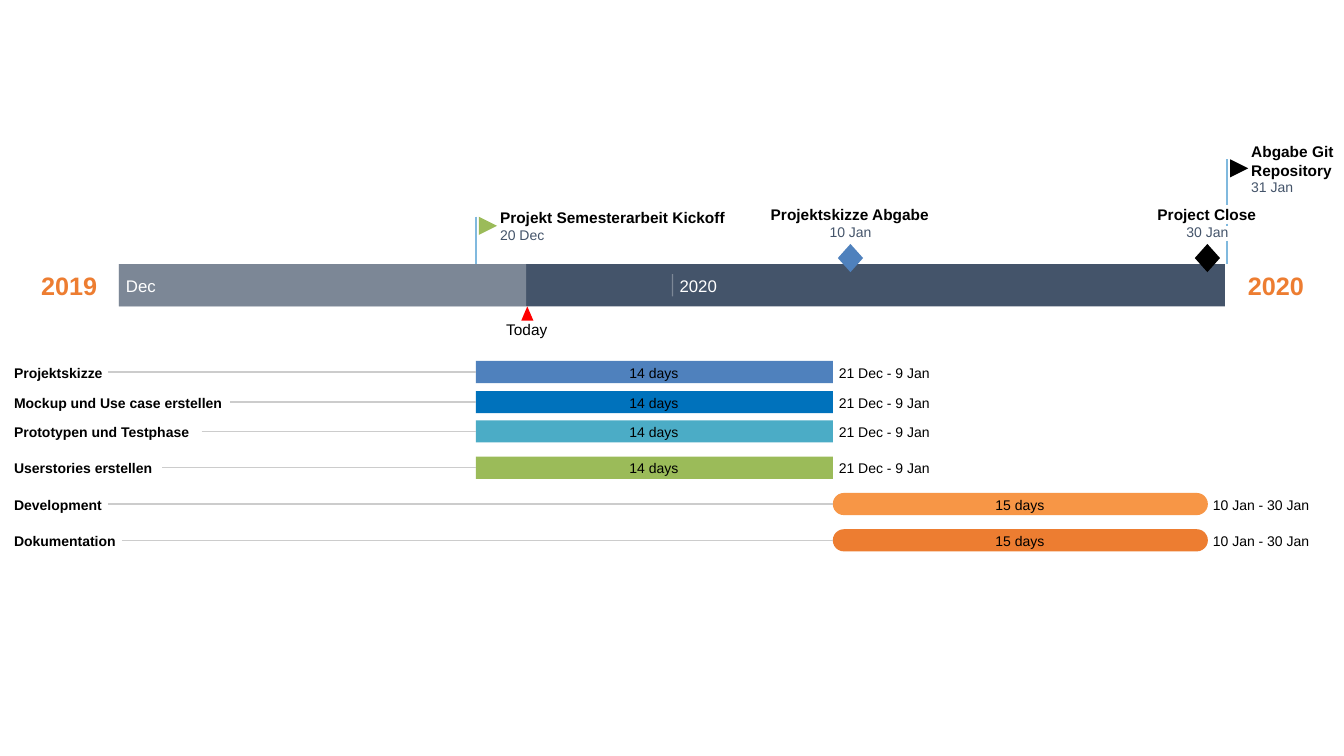
from pptx import Presentation
from pptx.dml.color import RGBColor
from pptx.enum.shapes import MSO_CONNECTOR, MSO_SHAPE
from pptx.enum.text import MSO_ANCHOR, MSO_AUTO_SIZE, PP_ALIGN
from pptx.oxml.ns import qn
from pptx.util import Inches, Pt
from lxml import etree

BLACK, WHITE, SLATE, ORANGE = "000000", "FFFFFF", "44546A", "ED7D31"
LEFT, MID = PP_ALIGN.LEFT, PP_ALIGN.CENTER

deck = Presentation()
deck.slide_width, deck.slide_height = Inches(13.33), Inches(7.5)
slide = deck.slides.add_slide(deck.slide_layouts[6])


def add_form(kind, x, y, w, h, color):
    form = slide.shapes.add_shape(kind, Inches(x), Inches(y), Inches(w), Inches(h))
    form.shadow.inherit = False
    form.fill.solid()
    form.fill.fore_color.rgb = RGBColor.from_string(color)
    form.line.fill.background()
    return form


def add_text(text, x, y, w, h, size=10, color=BLACK, bold=False, align=LEFT, wrap=True):
    box = slide.shapes.add_textbox(Inches(x), Inches(y), Inches(w), Inches(h))
    frame = box.text_frame
    frame.margin_left = frame.margin_right = frame.margin_top = frame.margin_bottom = 0
    frame.vertical_anchor = MSO_ANCHOR.MIDDLE
    frame.auto_size = MSO_AUTO_SIZE.SHAPE_TO_FIT_TEXT
    frame.word_wrap = wrap
    para = frame.paragraphs[0]
    para.text = text
    para.alignment = align
    font = para.font
    font.name, font.size, font.bold = "Arial", Pt(size), bold
    font.color.rgb = RGBColor.from_string(color)


# Time band with its elapsed part
for x, year in ((0.35, "2019"), (12.32, "2020")):
    add_text(year, x, 2.69, 0.67, 0.29, 18, ORANGE, True, MID, False)
add_form(MSO_SHAPE.RECTANGLE, 1.18, 2.62, 10.97, 0.42, SLATE)
past = add_form(MSO_SHAPE.RECTANGLE, 1.18, 2.62, 4.04, 0.42, WHITE)
for x, month in ((1.25, "Dec"), (6.74, "2020")):
    add_text(month, x, 2.74, 0.4, 0.19, 12, WHITE, wrap=False)

# Today marker
add_form(MSO_SHAPE.ISOSCELES_TRIANGLE, 5.17, 3.04, 0.12, 0.14, "FF0000")
add_text("Today", 4.96, 3.18, 0.53, 0.18, 11, align=MID, wrap=False)

# Flag milestones: title, date, pole x, flag top, title top, size, colour
flags = [
    ("Projekt Semesterarbeit Kickoff", "20 Dec", 4.72, 2.15, 2.07, 2.26, 0.18, "9BBB59"),
    ("Abgabe Git Repository", "31 Jan", 12.17, 1.58, 1.42, 0.93, 0.35, BLACK),
]
for title, date, pole, top, y, w, h, color in flags:
    flag = add_form(MSO_SHAPE.FLOWCHART_MERGE, pole + 0.03, top, 0.18, 0.18, color)
    flag.rotation = 270
    x = pole + 0.24
    add_text(title, x, y, w, h, 11, bold=True)
    add_text(date, x, y + h, 0.53, 0.17, color=SLATE)

# Diamond milestones, centred on their day
diamonds = [
    ("Projektskizze Abgabe", "10 Jan", 8.43, 1.6, "4F81BD"),
    ("Project Close", "30 Jan", 11.97, 1.07, BLACK),
]
for title, date, day, w, color in diamonds:
    add_form(MSO_SHAPE.DIAMOND, day - 0.12, 2.42, 0.25, 0.28, color)
    add_text(title, day - w / 2, 2.04, w, 0.18, 11, bold=True, align=MID)
    add_text(date, day - 0.26, 2.22, 0.53, 0.17, color=SLATE, align=MID)

# Lines: from x, y to x, y, colour, bar to join
lines = [(6.67, 2.72, 6.67, 2.94, WHITE, None)]
for x, top, end in ((4.72, 2.15, 2.62), (12.17, 1.58, 2.03), (12.17, 2.22, 2.24), (12.17, 2.39, 2.62)):
    lines.append((x, top, x, end, "80B9DE", None))

# Task bars: phase gives shape, left, width, length, dates, dates x and width
early = (MSO_SHAPE.RECTANGLE, 4.72, 3.54, "14 days", "21 Dec - 9 Jan", 8.32, 0.93)
late = (MSO_SHAPE.ROUNDED_RECTANGLE, 8.26, 3.72, "15 days", "10 Jan - 30 Jan", 12.03, 1.07)
tasks = [
    ("Projektskizze", 0.93, 3.58, "4F81BD", early),
    ("Mockup und Use case erstellen", 2.14, 3.88, "0072BC", early),
    ("Prototypen und Testphase", 1.86, 4.17, "4BACC6", early),
    ("Userstories erstellen", 1.47, 4.53, "9BBB59", early),
    ("Development", 0.93, 4.89, "F79646", late),
    ("Dokumentation", 1.07, 5.25, ORANGE, late),
]
for name, wide, top, color, (kind, x, w, days, dates, right, span) in tasks:
    bar = add_form(kind, x, top, w, 0.22, color)
    if kind == MSO_SHAPE.ROUNDED_RECTANGLE:
        bar.adjustments[0] = 1
    y = top + 0.03
    add_text(dates, right, y, span, 0.17)
    add_text(days, x + w / 2 - 0.27, y, 0.53, 0.17, align=MID)
    add_text(name, 0.14, y, wide, 0.17, bold=True)
    lines.append((0.14 + wide, top + 0.11, x, top + 0.11, "CCCCCC", bar))

# Draw the tick, poles and task leaders
faint = [past]
for x, y, right, end, color, bar in lines:
    line = slide.shapes.add_connector(
        MSO_CONNECTOR.STRAIGHT, Inches(x), Inches(y), Inches(right), Inches(end))
    line.line.width = Pt(1)
    line.line.color.rgb = RGBColor.from_string(color)
    etree.SubElement(line.element.spPr, qn("a:effectLst"))
    if bar:
        line.end_connect(bar, 1)
    if color == WHITE:
        faint.append(line)

# Make the elapsed part and the tick 30 % opaque
for item in faint:
    for paint in item.element.spPr.iter(qn("a:srgbClr")):
        etree.SubElement(paint, qn("a:alpha"), val="30000")

deck.save("out.pptx")
